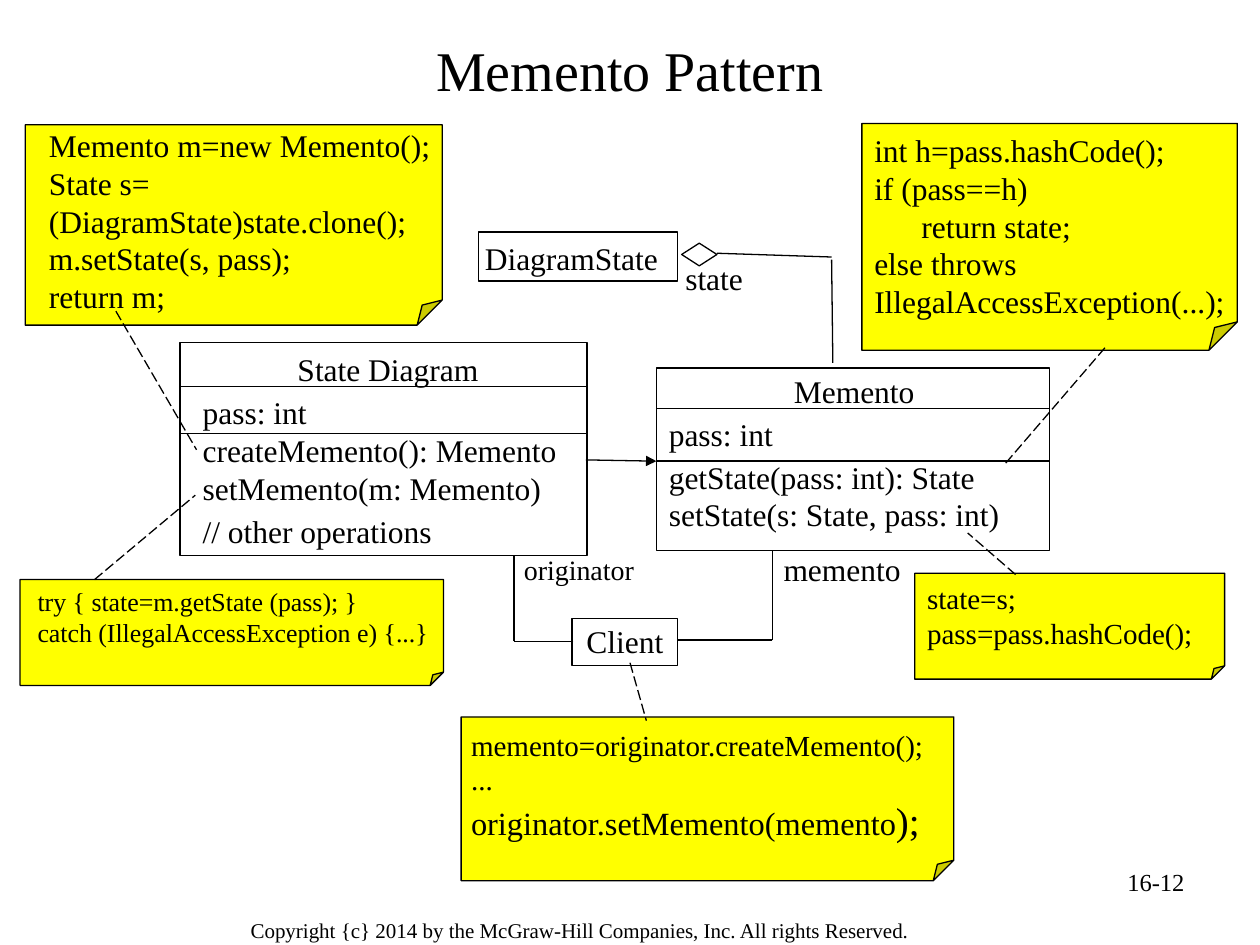
from pptx import Presentation
from pptx.dml.color import RGBColor
from pptx.enum.dml import MSO_LINE
from pptx.enum.shapes import MSO_CONNECTOR, MSO_SHAPE
from pptx.enum.text import MSO_ANCHOR, PP_ALIGN
from pptx.oxml.ns import qn
from pptx.util import Inches, Pt
from lxml import etree

BLACK = RGBColor(0x00, 0x00, 0x00)
WHITE = RGBColor(0xFF, 0xFF, 0xFF)
YELLOW = RGBColor(0xFF, 0xFF, 0x00)
FONT = "Times New Roman"
L, C, R = PP_ALIGN.LEFT, PP_ALIGN.CENTER, PP_ALIGN.RIGHT
TOP, MIDDLE = MSO_ANCHOR.TOP, MSO_ANCHOR.MIDDLE
RECT, NOTE, DIAMOND = MSO_SHAPE.RECTANGLE, MSO_SHAPE.FOLDED_CORNER, MSO_SHAPE.DIAMOND
STRAIGHT = MSO_CONNECTOR.STRAIGHT
DASH = MSO_LINE.LONG_DASH

LABELS = [
    ((1.89, 7.23, 6.18, 0.3), "Copyright {c} 2014 by the McGraw-Hill Companies, Inc. All rights Reserved.", 12, L, TOP),
    ((7.17, 6.83, 2.33, 0.52), "16-12", 14, R, TOP),
    ((4.06, 4.34, 1.23, 0.37), "originator", 16, L, TOP),
    ((0.5, 0.17, 9, 0.75), "Memento Pattern", 32, C, MIDDLE),
    ((4.54, 4.89, 0.84, 0.4), "Client", 18, C, TOP),
    ((3.66, 1.85, 1.75, 0.57), "DiagramState", 18, C, TOP),
    ((5.34, 2.01, 0.68, 0.42), "state", 18, L, TOP),
    ((6.12, 4.32, 1.19, 0.4), "memento", 18, L, TOP),
]

BOXES = [(4.54, 4.91, 0.84, 0.37), (3.8, 1.84, 1.58, 0.39)]

CLASSES = [
    {"box": (1.43, 2.72, 3.23, 1.69), "text": (1.51, 2.73, 3.14, 1.84), "rules": (3.07, 3.44),
     "rows": [("State Diagram", C, 0), ("pass: int", L, 3), ("createMemento(): Memento", L, 0),
              ("setMemento(m: Memento)", L, 0), ("// other operations", L, 3)]},
    {"box": (5.21, 2.92, 3.12, 1.45), "text": (5.21, 2.9, 3.14, 1.43), "rules": (3.24, 3.66),
     "rows": [("Memento", C, 0), ("pass: int", L, 3), ("getState(pass: int): State", L, 3),
              ("setState(s: State, pass: int)", L, 0)]},
]

NOTES = [
    {"box": (0.2, 0.99, 3.31, 1.59), "text": (0.29, 0.95, 3.47, 1.62), "link": (0.92, 2.47, 1.56, 3.57),
     "lines": [[("Memento m=new Memento();", 18)], [("State s= (DiagramState)state.clone();", 18)],
               [("m.setState(s, pass);", 18)], [("return m;", 18)]]},
    {"box": (7.26, 4.55, 2.46, 0.84), "text": (7.26, 4.56, 2.47, 0.81), "link": (8.06, 4.56, 7.68, 4.23),
     "lines": [[("state=s;", 16.6)], [("pass=pass.hashCode();", 16.6)]]},
    {"box": (0.16, 4.6, 3.36, 0.84), "text": (0.2, 4.6, 3.4, 0.84), "link": (0.75, 4.6, 1.55, 3.93),
     "lines": [[("try { state=m.getState (pass); }", 14.8)],
               [("catch (IllegalAccessException e) {...}", 14.8)]]},
    {"box": (6.84, 0.98, 2.98, 1.8), "text": (6.84, 0.99, 3.02, 1.78), "link": (8.77, 2.76, 7.97, 3.69),
     "lines": [[("int h=pass.hashCode();", 18)], [("if (pass==h)", 18)],
               [("      return state;", 18)], [("else throws IllegalAccessException(...);", 18)]]},
    {"box": (3.66, 5.69, 3.91, 1.3), "text": (3.64, 5.72, 4.08, 1.22), "link": (5, 5.26, 5.13, 5.72),
     "lines": [[("memento=originator.createMemento();", 16.6)], [("...", 16.6)],
               [("originator.setMemento(memento", 18.5), (");", 22.2)]]},
]

LINKS = [
    (6.6, 2.06, 6.61, 2.88), (5.69, 2.01, 6.6, 2.04),
    (6.13, 4.37, 6.13, 5.08), (6.13, 5.08, 5.38, 5.08),
    (4.55, 5.09, 4.08, 5.09), (4.08, 5.09, 4.08, 4.41),
]
AGGREGATE = (5.41, 1.93, 0.28, 0.18)
ARROW = (4.65, 3.65, 5.21, 3.66)

prs = Presentation()
prs.slide_width, prs.slide_height = Inches(10), Inches(7.5)
s = prs.slides.add_slide(prs.slide_layouts[6])


def add_text(box, paras, anchor=TOP):
    tf = s.shapes.add_textbox(*map(Inches, box)).text_frame
    tf.word_wrap = True
    tf.vertical_anchor = anchor
    for i, (runs, align, before) in enumerate(paras):
        p = tf.paragraphs[0] if i == 0 else tf.add_paragraph()
        p.alignment = align
        p.space_before = Pt(before)
        for text, size in runs:
            r = p.add_run()
            r.text = text
            for key, value in {"name": FONT, "size": Pt(size)}.items():
                setattr(r.font, key, value)
            r.font.color.rgb = BLACK


def add_shape(kind, box, fill=None):
    sp = s.shapes.add_shape(kind, *map(Inches, box))
    sp.shadow.inherit = False
    if fill is None:
        sp.fill.background()
    else:
        sp.fill.solid()
        sp.fill.fore_color.rgb = fill
    sp.line.color.rgb = BLACK
    sp.line.width = Pt(0.75)
    return sp


def set_fold(sp, share):
    guides = sp._element.spPr.find(qn("a:prstGeom")).find(qn("a:avLst"))
    etree.SubElement(guides, qn("a:gd"), name="adj", fmla=f"val {round(share * 100000)}")


def add_line(ends, dash=None, arrow=False):
    cx = s.shapes.add_connector(STRAIGHT, *map(Inches, ends))
    cx.line.color.rgb = BLACK
    cx.line.width = Pt(0.75)
    if dash is not None:
        cx.line.dash_style = dash
    if arrow:
        ln = cx._element.spPr.find(qn("a:ln"))
        etree.SubElement(ln, qn("a:tailEnd"), type="triangle")
    etree.SubElement(cx._element.spPr, qn("a:effectLst"))


for box, text, size, align, anchor in LABELS:
    add_text(box, [([(text, size)], align, 0)], anchor)

for box in BOXES:
    add_shape(RECT, box)

for cls in CLASSES:
    add_text(cls["text"], [([(text, 18)], align, before) for text, align, before in cls["rows"]])
    add_shape(RECT, cls["box"])
    left, _, width, _ = cls["box"]
    for y in cls["rules"]:
        add_line((left, y, left + width, y))

for note in NOTES:
    set_fold(add_shape(NOTE, note["box"], YELLOW), 0.125)
    add_text(note["text"], [(runs, L, 0) for runs in note["lines"]])
    add_line(note["link"], DASH)

for ends in LINKS:
    add_line(ends)
add_shape(DIAMOND, AGGREGATE, WHITE)
add_line(ARROW, arrow=True)

prs.save("out.pptx")
